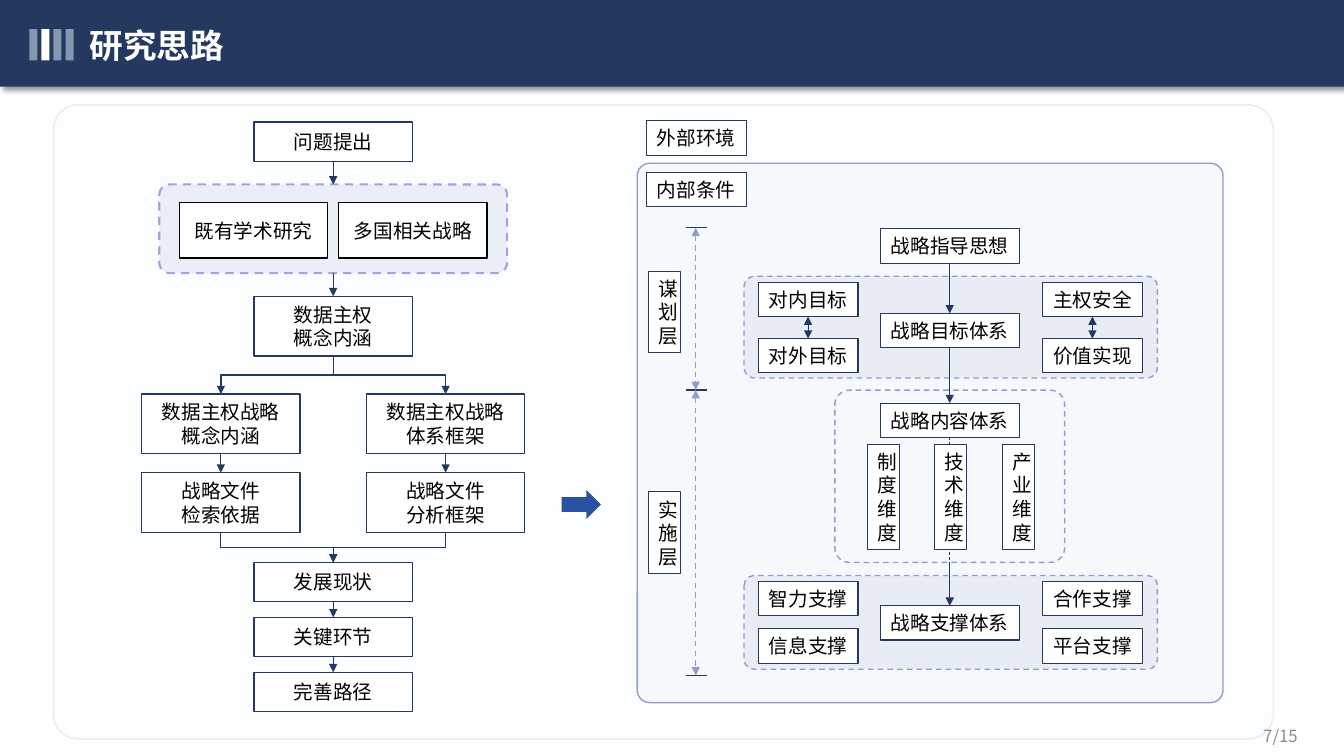
from pptx import Presentation
from pptx import util as u
from pptx.dml.color import RGBColor
from pptx.enum import dml, shapes, text
from pptx.oxml.ns import qn
from lxml import etree

FONT = "Noto Sans CJK SC"
NAVY, PERIWINKLE, PALE, WHITE, BLACK = "25385F", "909CCB", "E7ECF5", "FFFFFF", "000000"
RECT, ROUND = shapes.MSO_SHAPE.RECTANGLE, shapes.MSO_SHAPE.ROUNDED_RECTANGLE


def color(value):
    return RGBColor.from_string(value)


def add_node(parent, tag, **attributes):
    return etree.SubElement(parent, qn(tag), attributes)


def style_line(line, value, width, dashed=False):
    line.color.rgb = color(value)
    line.width = u.Pt(width)
    if dashed:
        line.dash_style = dml.MSO_LINE.DASH


def write(shape, words, size=14, ink=BLACK, bold=False, align="CENTER", wrap=True, inset=0.1, spacing=None):
    frame = shape.text_frame
    frame.word_wrap = wrap
    frame.vertical_anchor = text.MSO_ANCHOR.MIDDLE
    frame.margin_left = frame.margin_right = u.Inches(inset)
    frame.margin_top = frame.margin_bottom = 0
    for index, words_line in enumerate(words.split("\n")):
        para = frame.add_paragraph() if index else frame.paragraphs[0]
        para.alignment = getattr(text.PP_ALIGN, align)
        if spacing:
            para.line_spacing = u.Pt(spacing)
        span = para.add_run()
        span.text = words_line
        font = span.font
        font.name, font.size, font.bold = FONT, u.Pt(size), bold
        font.color.rgb = color(ink)
        add_node(font._element, "a:ea", typeface=FONT)


def add_box(page, left, top, width, height, kind=RECT, fill=WHITE, line=None, weight=1, dashed=False, corner=None):
    box = page.shapes.add_shape(kind, *map(u.Inches, (left, top, width, height)))
    box.shadow.inherit = False
    if fill:
        box.fill.solid()
        box.fill.fore_color.rgb = color(fill)
    else:
        box.fill.background()
    if line:
        style_line(box.line, line, weight, dashed)
    else:
        box.line.fill.background()
    if corner is not None:
        box.adjustments[0] = corner
    return box


def add_line(page, start, end, value=NAVY, width=1, dashed=False, head=False, tail=False, kind="STRAIGHT"):
    line = page.shapes.add_connector(getattr(shapes.MSO_CONNECTOR, kind), *map(u.Inches, (*start, *end)))
    style_line(line.line, value, width, dashed)
    outline = line.line._get_or_add_ln()
    for shown, tag in ((head, "a:headEnd"), (tail, "a:tailEnd")):
        if shown:
            add_node(outline, tag, type="triangle")
    add_node(line._element.spPr, "a:effectLst")
    return line


def join(page, upper, lower, **style):
    line = add_line(page, (0, 0), (1, 1), tail=True, **style)
    line.begin_connect(upper, 2)
    line.end_connect(lower, 0)


def add_elbow(page, start, end):
    (x1, y1), (x2, y2) = start, end
    middle_x, middle_y = (x1 + x2) / 2, (y1 + y2) / 2
    run, rise = abs(x2 - x1) / 2, (y2 - y1) / 2
    elbow = add_line(page, (middle_x - rise, middle_y - run), (middle_x + rise, middle_y + run), tail=True, kind="ELBOW")
    xfrm = elbow._element.spPr.find(qn("a:xfrm"))
    xfrm.set("rot", str((90 if x2 < x1 else 270) * 60000))
    if x2 > x1:
        xfrm.set("flipH", "1")


def add_header(page, left, top, width, height):
    band = add_box(page, left, top, width, height, fill=NAVY)
    effects = band._element.spPr.find(qn("a:effectLst"))
    shadow = add_node(effects, "a:outerShdw", blurRad=str(u.Pt(4)), dist=str(u.Pt(3)), dir="2700000", algn="tl", rotWithShape="0")
    add_node(add_node(shadow, "a:srgbClr", val=BLACK), "a:alpha", val="40000")
    for index in range(4):
        add_box(page, left + 0.29 + 0.12 * index, top + 0.29, 0.08, 0.31, fill=WHITE if index == 1 else "8497B0")
    title = page.shapes.add_textbox(*map(u.Inches, (left + 0.89, top + 0.25, 1.35, 0.4)))
    write(title, "研究思路", size=24, ink=WHITE, bold=True, align="LEFT", wrap=False, inset=0)


def add_research_flow(page, left, top, width, height):
    center = left + width / 2
    step_width, pair_offset = 1.57, 1.115

    def add_step(words, y, offset=0):
        lines = words.count("\n") + 1
        step = add_box(page, center + offset - step_width / 2, top + y, step_width, 0.19 + 0.2 * lines, line=NAVY)
        write(step, words, spacing=16.8 if lines > 1 else None)
        return step

    basis = add_box(page, center - 1.725, top + 0.62, 3.45, 0.88, ROUND, "DAE3F3", "A1A4DF", 1.5, True, 0.118)
    fill_color = basis._element.spPr.find(qn("a:solidFill"))[0]
    add_node(fill_color, "a:alpha", val="54000")
    for offset, words in ((-0.79, "既有学术研究"), (0.79, "多国相关战略")):
        write(add_box(page, center + offset - 0.735, top + 0.8, 1.47, 0.55, line=BLACK), words)

    question = add_step("问题提出", 0)
    concept = add_step("数据主权\n概念内涵", 1.73)
    status, links, path = [add_step(words, 4.37 + 0.545 * index)
                           for index, words in enumerate(("发展现状", "关键环节", "完善路径"))]
    for upper, lower in ((question, basis), (basis, concept), (status, links), (links, path)):
        join(page, upper, lower)

    branches = ((-pair_offset, "数据主权战略\n概念内涵", "战略文件\n检索依据"),
                (pair_offset, "数据主权战略\n体系框架", "战略文件\n分析框架"))
    for offset, strategy, document in branches:
        join(page, add_step(strategy, 2.7, offset), add_step(document, 3.48, offset))
        add_elbow(page, (center, top + 2.32), (center + offset, top + 2.7))
        add_elbow(page, (center + offset, top + 4.07), (center, top + 4.37))


def add_framework(page, left, top, width, height):
    axis = left + 3.1

    def add_frame(x, y, frame_width, frame_height, fill, corner, dashed=True):
        return add_box(page, left + x, top + y, frame_width, frame_height, ROUND, fill, PERIWINKLE, 1, dashed, corner)

    def add_label(words, x, y, label_width=0.99):
        label = add_box(page, left + x, top + y, label_width, 0.34, line=NAVY, weight=0.75)
        write(label, words, wrap=False)
        return label

    def add_upright(words, x, y):
        upright = add_box(page, left + x, top + y, 0.32, 0.12 + 0.23 * len(words), line=NAVY, weight=0.75)
        write(upright, words, spacing=16.8)

    add_frame(0, 0, width, height, "F6F9FC", 0.023, dashed=False)
    add_frame(1.06, 1.12, 4.1, 1.01, PALE, 0.105)
    add_frame(1.06, 4.09, 4.1, 0.93, PALE, 0.105)
    content_frame = add_frame(1.96, 2.25, 2.28, 1.71, None, 0.085)
    add_label("外部环境", 0.09, -0.42)
    add_label("内部条件", 0.09, 0.09)

    ticks = [top + y for y in (0.64, 2.25, 5.08)]
    for y in ticks:
        add_line(page, (left + 0.48, y), (left + 0.69, y))
    for start, end in zip(ticks, ticks[1:]):
        add_line(page, (left + 0.58, start), (left + 0.58, end), PERIWINKLE, dashed=True, head=True, tail=True)
    add_upright("谋划层", 0.11, 1.07)
    add_upright("实施层", 0.11, 3.26)

    systems = (("战略指导思想", 0.65), ("战略目标体系", 1.49), ("战略内容体系", 2.38), ("战略支撑体系", 4.39))
    idea, goal, content, support = [add_label(words, 2.41, y, 1.38) for words, y in systems]
    for upper, lower in ((idea, goal), (goal, content), (content_frame, support)):
        join(page, upper, lower, width=0.5)
    add_line(page, (axis, top + 2.72), (axis, top + 3.96), width=0.5, dashed=True)
    for index, words in enumerate(("制度维度", "技术维度", "产业维度")):
        add_upright(words, 2.28 + 0.67 * index, 2.79)

    columns = ((1.2, ("对内目标", "对外目标"), ("智力支撑", "信息支撑")),
               (4.02, ("主权安全", "价值实现"), ("合作支撑", "平台支撑")))
    for x, goals, supports in columns:
        upper, lower = [add_label(words, x, 1.18 + 0.56 * row) for row, words in enumerate(goals)]
        join(page, upper, lower, width=0.5, head=True)
        for row, words in enumerate(supports):
            add_label(words, x, 4.15 + 0.47 * row)


def add_page_number(page, left, top, width, height):
    number = page.shapes.add_textbox(*map(u.Inches, (left, top, width, height)))
    write(number, "7/15", size=12, ink="8C8C8C", align="RIGHT")


def main():
    deck = Presentation()
    deck.slide_width, deck.slide_height = u.Inches(13.33), u.Inches(7.5)
    page = deck.slides.add_slide(deck.slide_layouts[6])
    add_box(page, 0.53, 1.04, 12.1, 6.29, ROUND, "FCFDFE", PALE, corner=0.039)
    add_header(page, 0, 0, 13.33, 0.86)
    add_research_flow(page, 1.4, 1.21, 3.81, 5.85)
    add_framework(page, 6.32, 1.62, 5.81, 5.35)
    add_box(page, 5.57, 4.86, 0.39, 0.29, shapes.MSO_SHAPE.RIGHT_ARROW, "2A50A1")
    add_page_number(page, 9.97, 7.1, 3, 0.4)
    deck.save("out.pptx")


if __name__ == "__main__":
    main()
